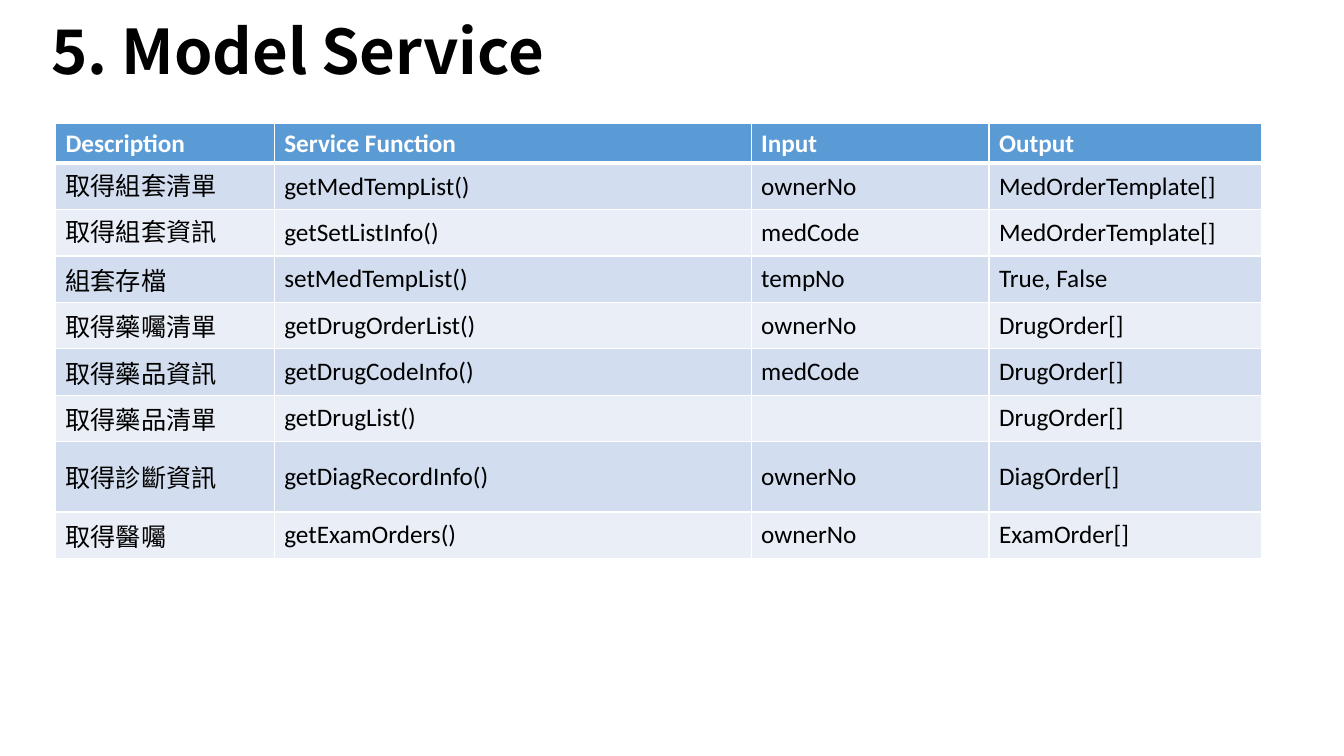
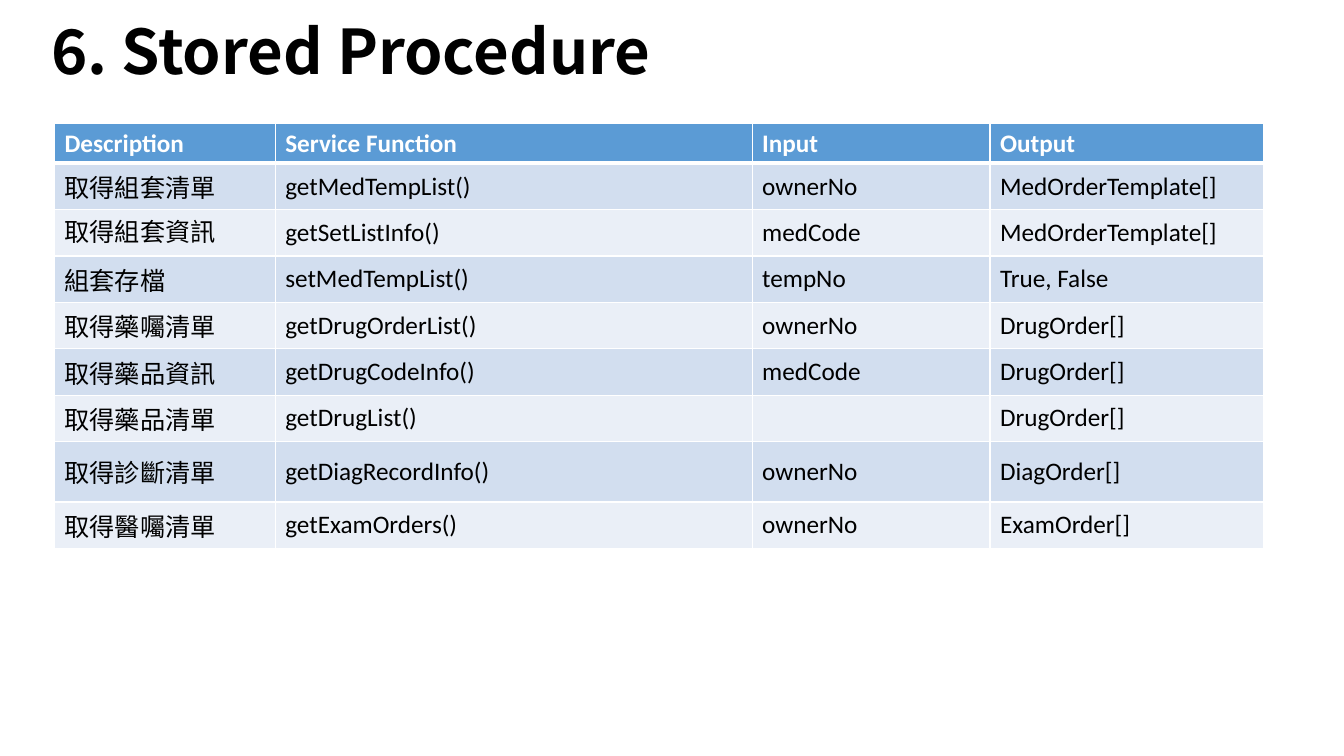
"""Build two slides, each a title over a table of service functions."""
from pptx import Presentation
from pptx.dml.color import RGBColor
from pptx.enum.text import MSO_ANCHOR
from pptx.oxml.ns import qn
from pptx.util import Inches, Pt
from lxml.etree import SubElement

COLORS = {"header": "5B9BD5", "odd": "D2DEEF", "even": "EAEFF7", "white": "FFFFFF", "black": "000000"}
LATIN, CJK, FALLBACK = "Calibri", "Noto Sans CJK SC", "Arial"
HEADER = ("Description", "Service Function", "Input", "Output")
CALLS = [
    ("getMedTempList()", "ownerNo", "MedOrderTemplate[]"),
    ("getSetListInfo()", "medCode", "MedOrderTemplate[]"),
    ("setMedTempList()", "tempNo", "True, False"),
    ("getDrugOrderList()", "ownerNo", "DrugOrder[]"),
    ("getDrugCodeInfo()", "medCode", "DrugOrder[]"),
    ("getDrugList()", "", "DrugOrder[]"),
    ("getDiagRecordInfo()", "ownerNo", "DiagOrder[]"),
    ("getExamOrders()", "ownerNo", "ExamOrder[]"),
]
COMMON = ["取得組套清單", "取得組套資訊", "組套存檔", "取得藥囑清單", "取得藥品資訊", "取得藥品清單"]
SLIDES = [
    {"title": "5. Model Service", "descriptions": COMMON + ["取得診斷資訊", "取得醫囑"],
     "left": 0.55, "cols": (2.17, 4.73, 2.36, 2.7), "diag_height": 0.7, "fallback_rows": (1, 2)},
    {"title": "6. Stored Procedure", "descriptions": COMMON + ["取得診斷清單", "取得醫囑清單"],
     "left": 0.54, "cols": (2.19, 4.73, 2.36, 2.71), "diag_height": 0.6, "fallback_rows": (2,)},
]
TABLE_TOP, HEADER_HEIGHT, ROW_HEIGHT, DIAG_ROW = 1.22, 0.4, 0.46, 7


def put_text(tf, text, size=18, font=LATIN, color="black", bold=False, spacing=None):
    p = tf.paragraphs[0]
    if spacing:
        p.line_spacing = spacing
    if not text:
        p.font.size = Pt(size)
        return
    r = p.add_run()
    r.text = text
    r.font.size, r.font.bold, r.font.name = Pt(size), bold, font
    r.font.color.rgb = RGBColor.from_string(COLORS[color])
    SubElement(r.font._element, qn("a:ea"), typeface=font)


def set_borders(cell, row):
    widths = {"L": 1, "R": 1, "T": 3 if row == 1 else 1, "B": 3 if row == 0 else 1}
    tc_pr = cell._tc.get_or_add_tcPr()
    for side, width in widths.items():
        line = SubElement(tc_pr, qn(f"a:ln{side}"), w=str(Pt(width)))
        fill = SubElement(line, qn("a:solidFill"))
        SubElement(fill, qn("a:srgbClr"), val=COLORS["white"])


def add_title(s, text):
    tf = s.shapes.add_textbox(Inches(0.41), Inches(-0.1), Inches(9.3), Inches(1.28)).text_frame
    tf.word_wrap = True
    tf.vertical_anchor = MSO_ANCHOR.MIDDLE
    put_text(tf, text, size=44, font=CJK, bold=True, spacing=0.9)


def add_service_table(s, data):
    rows = [HEADER] + [(d, *call) for d, call in zip(data["descriptions"], CALLS)]
    heights = [HEADER_HEIGHT] + [ROW_HEIGHT] * len(CALLS)
    heights[DIAG_ROW] = data["diag_height"]
    table = s.shapes.add_table(len(rows), len(HEADER), Inches(data["left"]), Inches(TABLE_TOP),
                               Inches(sum(data["cols"])), Inches(sum(heights))).table
    for col, width in zip(table.columns, data["cols"]):
        col.width = Inches(width)
    for i, (values, height) in enumerate(zip(rows, heights)):
        table.rows[i].height = Inches(height)
        band = "header" if i == 0 else "odd" if i % 2 else "even"
        cjk_font = FALLBACK if i in data["fallback_rows"] else CJK
        for j, value in enumerate(values):
            cell = table.cell(i, j)
            cell.vertical_anchor = MSO_ANCHOR.MIDDLE
            set_borders(cell, i)
            cell.fill.solid()
            cell.fill.fore_color.rgb = RGBColor.from_string(COLORS[band])
            put_text(cell.text_frame, value, font=cjk_font if i and j == 0 else LATIN,
                     color="black" if i else "white", bold=i == 0)


def main():
    prs = Presentation()
    prs.slide_width, prs.slide_height = Inches(13.33), Inches(7.5)
    for data in SLIDES:
        s = prs.slides.add_slide(prs.slide_layouts[6])
        add_title(s, data["title"])
        add_service_table(s, data)
    prs.save("out.pptx")


if __name__ == "__main__":
    main()
